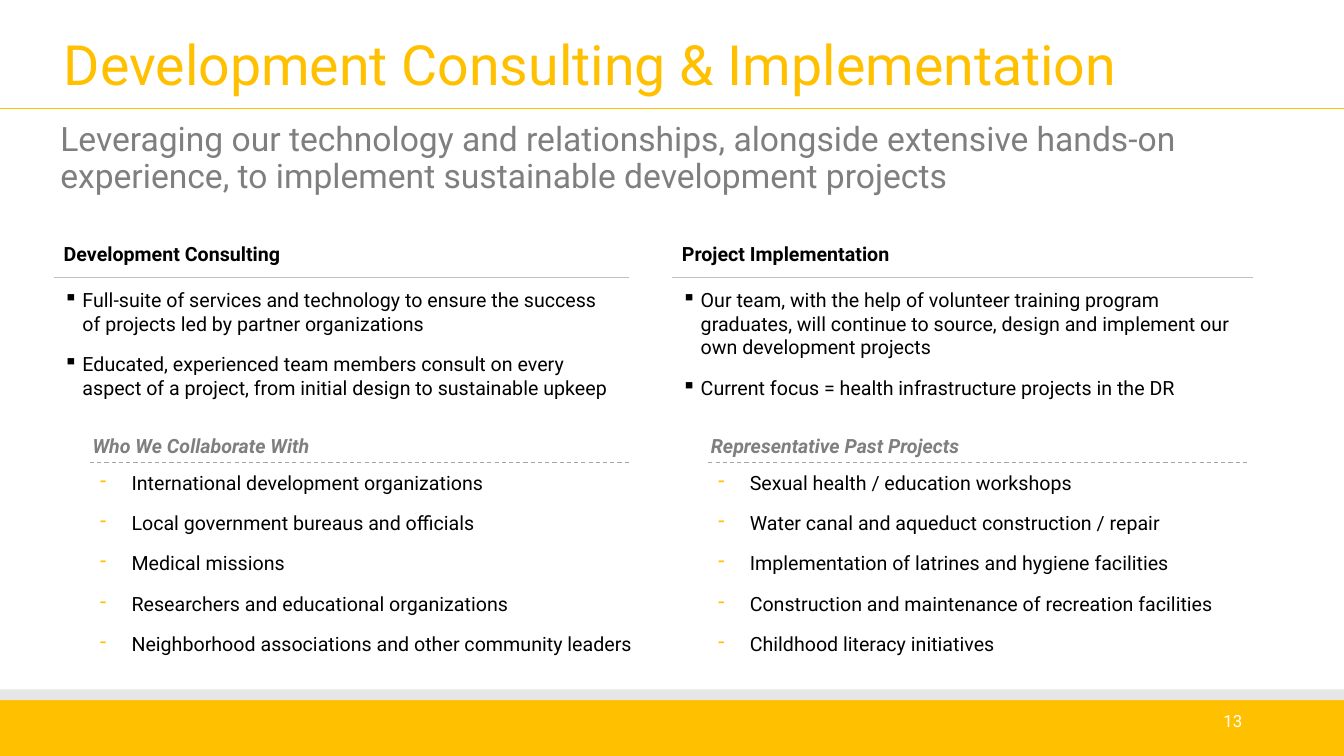
import pptx
import pptx.util
import pptx.dml.color
import pptx.enum.dml
import pptx.enum.shapes
import pptx.enum.text
import pptx.oxml
import pptx.oxml.ns

RGB = pptx.dml.color.RGBColor
GOLD = RGB(0xFF, 0xC0, 0x00)
PALE = RGB(0xE7, 0xE6, 0xE6)
RULE = RGB(0xBF, 0xBF, 0xBF)
DASH = RGB(0xA5, 0xA5, 0xA5)
GRAY = RGB(0x7F, 0x7F, 0x7F)
BLACK = RGB(0x00, 0x00, 0x00)
WHITE = RGB(0xFF, 0xFF, 0xFF)
ANCHOR = pptx.enum.text.MSO_ANCHOR
ALIGN = pptx.enum.text.PP_ALIGN


class Page:
    """One slide, measured on a grid of 100 columns by 100 rows."""

    font = "Roboto"

    def __init__(self, deck):
        self.slide = deck.slides.add_slide(deck.slide_layouts[6])
        self.shapes = self.slide.shapes
        self.col = deck.slide_width / 100
        self.row = deck.slide_height / 100

    def spot(self, x, y):
        return round(x * self.col), round(y * self.row)

    def band(self, y, high, color):
        kind = pptx.enum.shapes.MSO_SHAPE.RECTANGLE
        bar = self.shapes.add_shape(kind, *self.spot(0, y), *self.spot(100, high))
        bar.shadow.inherit = False
        bar.fill.solid()
        bar.fill.fore_color.rgb = color
        bar.line.fill.background()

    def line(self, x, y, wide, color, dash=False):
        kind = pptx.enum.shapes.MSO_CONNECTOR.STRAIGHT
        rule = self.shapes.add_connector(kind, *self.spot(x, y), *self.spot(x + wide, y))
        rule.line.color.rgb = color
        rule.line.width = pptx.util.Pt(0.75)
        if dash:
            rule.line.dash_style = pptx.enum.dml.MSO_LINE.DASH
        props = rule._element.spPr
        props.append(props.makeelement(pptx.oxml.ns.qn("a:effectLst"), {}))

    def text(self, x, y, wide, high, lines, size=14, color=BLACK, bold=None,
             slant=None, align=None, anchor=ANCHOR.TOP, pitch=None, mark=None):
        box = self.shapes.add_textbox(*self.spot(x, y), *self.spot(wide, high))
        frame = box.text_frame
        frame.word_wrap = True
        frame.vertical_anchor = anchor
        for i, words in enumerate(lines):
            para = frame.add_paragraph() if i else frame.paragraphs[0]
            para.text = words
            para.alignment = align
            if pitch:
                para.line_spacing = pitch
            if i:
                para.space_before = pptx.util.Pt(12)
            if mark:
                self.bullet(para, *mark)
            font = para.font
            font.name = self.font
            font.size = pptx.util.Pt(size)
            font.color.rgb = color
            font.bold = bold
            font.italic = slant

    def bullet(self, para, sign, color, indent):
        props = para._p.get_or_add_pPr()
        gap = round(indent * self.col)
        props.set("marL", str(gap))
        props.set("indent", str(-gap))
        space = pptx.oxml.ns.nsdecls("a")
        for xml in (f'<a:buClr {space}><a:srgbClr val="{color}"/></a:buClr>',
                    f'<a:buChar {space} char="{sign}"/>'):
            props.append(pptx.oxml.parse_xml(xml))


# Each column: left edge, rule width, list width, then its wording
COLUMNS = [
    (4, 42.8, 41.2, "Development Consulting",
     ["Full-suite of services and technology to ensure the success of projects "
      "led by partner organizations",
      "Educated, experienced team members consult on every aspect of a project, "
      "from initial design to sustainable upkeep"],
     "Who We Collaborate With",
     ["International development organizations",
      "Local government bureaus and officials",
      "Medical missions",
      "Researchers and educational organizations",
      "Neighborhood associations and other community leaders"]),
    (50, 43.2, 40.1, "Project Implementation",
     ["Our team, with the help of volunteer training program graduates, "
      "will continue to source, design and implement our own development projects",
      "Current focus = health infrastructure projects in the DR"],
     "Representative Past Projects",
     ["Sexual health / education workshops",
      "Water canal and aqueduct construction / repair",
      "Implementation of latrines and hygiene facilities",
      "Construction and maintenance of recreation facilities",
      "Childhood literacy initiatives"]),
]


def main():
    deck = pptx.Presentation()
    deck.slide_width = pptx.util.Inches(13.33)
    deck.slide_height = pptx.util.Inches(7.5)
    page = Page(deck)

    # Footer bands and page number
    page.band(92.4, 7.6, GOLD)
    page.band(91.2, 1.4, PALE)
    page.text(70.67, 92.67, 22.5, 5.33, ["13"], size=12, color=WHITE,
              align=ALIGN.RIGHT, anchor=ANCHOR.MIDDLE)

    # Title and subtitle
    page.line(0, 14.4, 100, GOLD)
    page.text(4, 3.33, 85.5, 11.07, ["Development Consulting & Implementation"],
              size=39.6, color=GOLD, anchor=ANCHOR.MIDDLE, pitch=0.9)
    page.text(3.75, 15.6, 89.4, 5.2,
              ["Leveraging our technology and relationships, alongside extensive "
               "hands-on experience, to implement sustainable development projects"],
              size=24, color=GRAY, pitch=0.9)

    # Two columns
    for left, rule, wide, head, points, label, items in COLUMNS:
        page.text(left, 31.33, 36, 4.5, [head], bold=True)
        page.line(left, 36.67, rule, RULE)
        page.text(left, 37.47, 42.8, 16.13, points, mark=("▪", BLACK, 1.4))
        page.text(left + 2.15, 56.8, 32, 4.5, [label], color=GRAY, bold=True, slant=True)
        page.line(left + 2.7, 61.2, 40.1, DASH, dash=True)
        page.text(left + 2.7, 61.6, wide, 26, items, mark=("-", GOLD, 2.35))

    deck.save("out.pptx")


if __name__ == "__main__":
    main()
